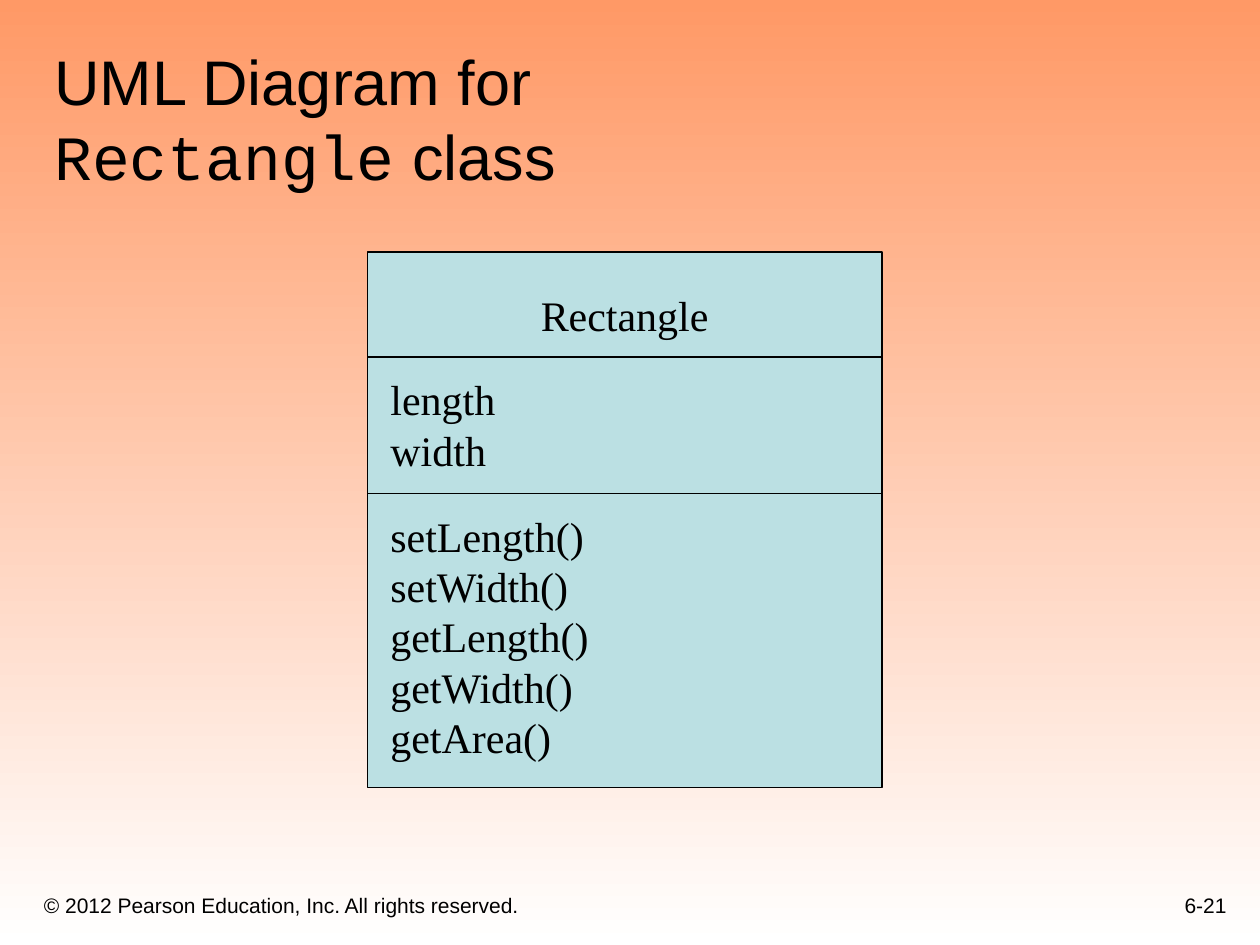
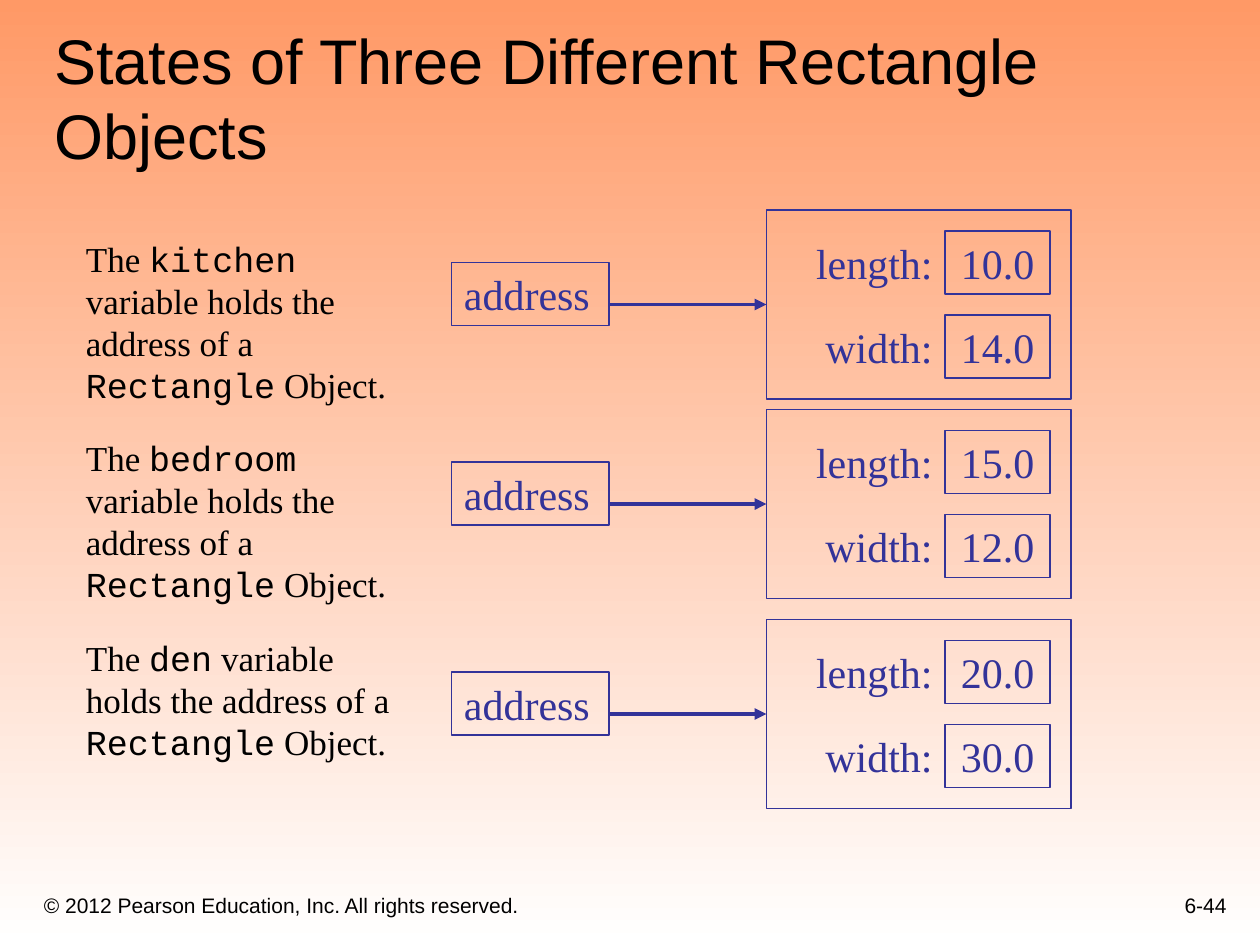
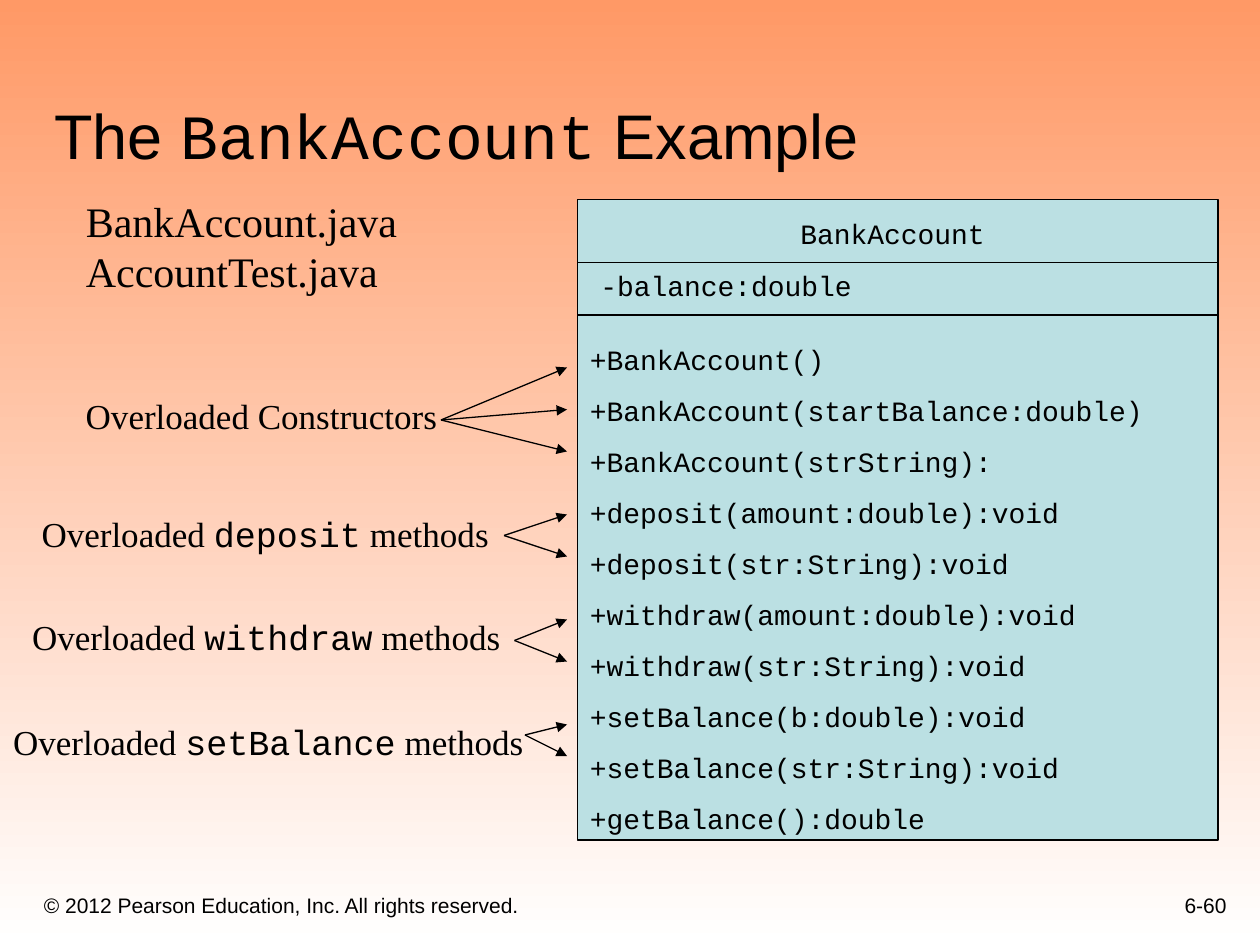
from lxml.etree import SubElement
from pptx import Presentation
from pptx.dml.color import RGBColor
from pptx.enum.shapes import MSO_CONNECTOR, MSO_SHAPE
from pptx.enum.text import MSO_ANCHOR, PP_ALIGN
from pptx.oxml.ns import qn
from pptx.util import Cm, Pt

# Every place and size below counts steps of this grid: 120 x 90 to a slide.
STEP = Cm(25.4) // 120

ORANGE = RGBColor(0xFF, 0x99, 0x66)
WHITE = RGBColor(0xFF, 0xFF, 0xFF)
BLACK = RGBColor(0, 0, 0)
TEAL = RGBColor(0xBB, 0xE0, 0xE3)
BLUE = RGBColor(0x33, 0x33, 0x99)

SANS, SERIF, MONO = "Arial", "Times New Roman", "Courier New"
LEFT, MID, RIGHT = PP_ALIGN.LEFT, PP_ALIGN.CENTER, PP_ALIGN.RIGHT

RIGHTS = "© 2012 Pearson Education, Inc. All rights reserved."

# In the wording, backticks mark code and a line feed breaks the line.
UML = {
    "title": "UML Diagram for\n`Rectangle` class",
    "page": "6-21",
    "frame": (35, 24, 49, 51),
    "rules": [34, 47],
    "parts": [
        ("Rectangle", (35, 27, 49, 6), MID),
        ("length width", (36, 35, 22, 10.8), LEFT),
        ("setLength() setWidth() getLength() getWidth() getArea()",
         (36, 48, 23, 25.2), LEFT),
    ],
}

STATES = {
    "title": "States of Three Different Rectangle Objects",
    "page": "6-44",
    # variable, top of note, top of object, fields
    "rooms": [
        ("kitchen", 22, 20, {"length:": "10.0", "width:": "14.0"}),
        ("bedroom", 41, 39, {"length:": "15.0", "width:": "12.0"}),
        ("den", 60, 59, {"length:": "20.0", "width:": "30.0"}),
    ],
}

BANK = {
    "title": "The `BankAccount` Example",
    "page": "6-60",
    "files": "BankAccount.java AccountTest.java",
    "frame": (55, 19, 61, 61),
    "rules": [25, 30],
    "parts": [
        ("`BankAccount`", (55, 20, 60, 4.4), MID),
        ("`-balance:double`", (56, 25, 54, 4.4), LEFT),
    ],
    "methods": [
        "+BankAccount()",
        "+BankAccount(startBalance:double)",
        "+BankAccount(strString):",
        "+deposit(amount:double):void",
        "+deposit(str:String):void",
        "+withdraw(amount:double):void",
        "+withdraw(str:String):void",
        "+setBalance(b:double):void",
        "+setBalance(str:String):void",
        "+getBalance():double",
    ],
    # label, its left, top and width, start of arrows, heights of their tips
    "groups": [
        ("Overloaded Constructors", (6.7, 37, 36.4), (42, 40), [35, 39, 43]),
        ("Overloaded `deposit` methods", (2.4, 48.2, 45.7), (48, 51), [49, 53]),
        ("Overloaded `withdraw` methods", (1.4, 58, 47.9), (49, 61), [59, 63]),
        ("Overloaded `setBalance` methods", (0, 68, 51.1), (50, 70), [69, 72]),
    ],
}


def grid(*spots):
    return [round(spot * STEP) for spot in spots]


def write(shape, lines, size, face=SERIF, color=BLACK, align=LEFT,
          anchor=MSO_ANCHOR.TOP, wrap=True, gap=0):
    """Fill a shape with one paragraph a line, gap points apart."""
    frame = shape.text_frame
    frame.word_wrap = wrap
    frame.vertical_anchor = anchor
    for i, line in enumerate(lines):
        para = frame.add_paragraph() if i else frame.paragraphs[0]
        para.alignment = align
        para.space_before = Pt(gap if i else 0)
        for j, piece in enumerate(line.split("`")):
            for k, words in enumerate(piece.split("\n")):
                if k:
                    para.add_line_break()
                if words:
                    run = para.add_run()
                    run.text = words
                    font = run.font
                    font.name = MONO if j % 2 else face
                    font.size = Pt(size)
                    font.color.rgb = color


def label(slide, place, text, size, **style):
    lines = [text] if isinstance(text, str) else text
    write(slide.shapes.add_textbox(*grid(*place)), lines, size, **style)


def block(slide, place, line, fill=None):
    box = slide.shapes.add_shape(MSO_SHAPE.RECTANGLE, *grid(*place))
    box.shadow.inherit = False
    if fill is None:
        box.fill.background()
    else:
        box.fill.solid()
        box.fill.fore_color.rgb = fill
    box.line.color.rgb = line
    box.line.width = Pt(0.75)
    return box


def link(slide, start, end, color=BLACK, width=0.75, arrow=True):
    wire = slide.shapes.add_connector(
        MSO_CONNECTOR.STRAIGHT, *grid(*start, *end))
    wire.line.color.rgb = color
    wire.line.width = Pt(width)
    if arrow:
        SubElement(wire.line._get_or_add_ln(), qn("a:tailEnd"),
                   type="triangle")
    SubElement(wire._element.spPr, qn("a:effectLst"))


def start(deck, data, place=(4, 4, 113, 13)):
    """Add a slide with its title and footer."""
    slide = deck.slides.add_slide(deck.slide_layouts[6])
    low = {"face": SANS, "anchor": MSO_ANCHOR.BOTTOM}
    label(slide, (3, 83, 73, 5), RIGHTS, 12, **low)
    label(slide, (93, 82, 25, 6), data["page"], 12, align=RIGHT, **low)
    label(slide, place, data["title"], 36, **low)
    return slide


def chart(slide, data, size):
    """Draw a class box with its rules and texts."""
    left, _, width, _ = data["frame"]
    block(slide, data["frame"], BLACK, TEAL)
    for y in data["rules"]:
        link(slide, (left, y), (left + width, y), arrow=False)
    for text, place, align in data["parts"]:
        label(slide, place, text, size, align=align)


def uml(deck):
    slide = start(deck, UML, (4, 4, 102, 15))
    chart(slide, UML, 24)


def states(deck):
    slide = start(deck, STATES)
    ink = {"size": 24, "color": BLUE}
    for name, note, top, fields in STATES["rooms"]:
        text = f"The `{name}` variable holds the address of a `Rectangle` Object."
        label(slide, (7, note, 34, 17), text, 20)
        write(block(slide, (43, top + 5, 15, 6), BLUE), ["address"], **ink)
        block(slide, (73, top, 29, 18), BLUE)
        link(slide, (58, top + 9), (73, top + 9), BLUE, 2.25)
        for i, (field, value) in enumerate(fields.items()):
            y = top + 2 + 8 * i
            label(slide, (75, y, 15, 6), field, align=RIGHT, **ink)
            write(block(slide, (90, y, 10, 6), BLUE), [value], align=MID, **ink)


def bank(deck):
    slide = start(deck, BANK)
    label(slide, (7, 18, 37, 10.8), BANK["files"], 24)
    chart(slide, BANK, 16)
    label(slide, (55, 32, 61, 48.2), BANK["methods"], 16, face=MONO, gap=10)
    for text, place, root, tips in BANK["groups"]:
        label(slide, (*place, 5.3), text, 20, align=MID, wrap=False)
        for y in tips:
            link(slide, root, (54, y))


def main():
    deck = Presentation()
    deck.slide_width, deck.slide_height = Cm(25.4), Cm(19.05)
    fill = deck.slide_master.background.fill
    fill.gradient()
    fill.gradient_angle = 270
    for stop, color in zip(fill.gradient_stops, (ORANGE, WHITE)):
        stop.color.rgb = color
    for build in (uml, states, bank):
        build(deck)
    deck.save("out.pptx")


if __name__ == "__main__":
    main()
